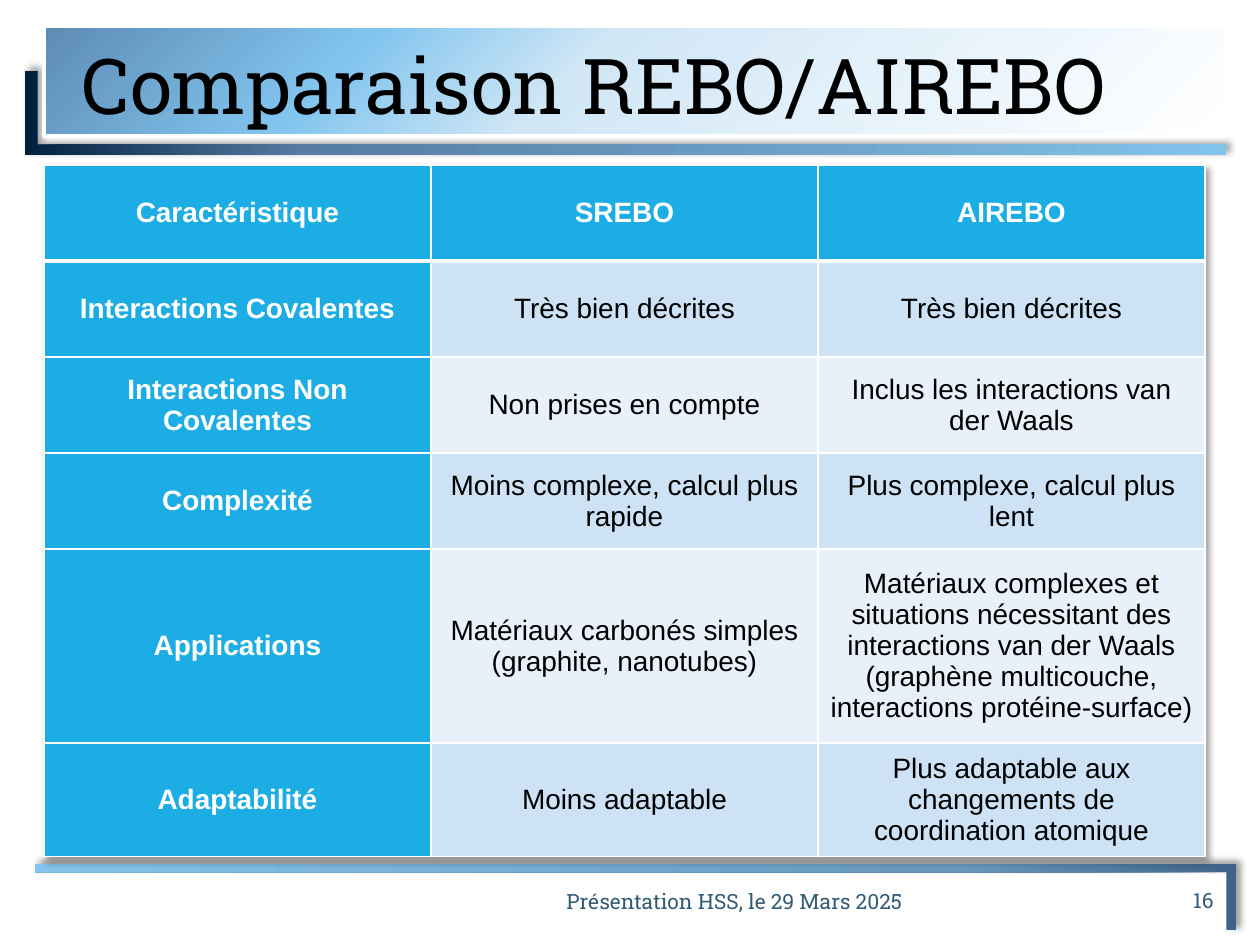
import pptx
import pptx.util
from lxml import etree
from pptx.dml.color import RGBColor
from pptx.enum.shapes import MSO_SHAPE
from pptx.enum.text import MSO_ANCHOR, MSO_AUTO_SIZE, PP_ALIGN
from pptx.oxml.ns import qn

# Content
TITLE = "Comparaison REBO/AIREBO"
FOOTER = "Présentation HSS, le 29 Mars 2025"
PAGE_NUMBER = "16"
ROWS = [
    ("Caractéristique", "SREBO", "AIREBO"),
    ("Interactions Covalentes", "Très bien décrites", "Très bien décrites"),
    ("Interactions Non Covalentes", "Non prises en compte",
     "Inclus les interactions van der Waals"),
    ("Complexité", "Moins complexe, calcul plus rapide",
     "Plus complexe, calcul plus lent"),
    ("Applications", "Matériaux carbonés simples (graphite, nanotubes)",
     "Matériaux complexes et situations nécessitant des interactions van der Waals "
     "(graphène multicouche, interactions protéine-surface)"),
    ("Adaptabilité", "Moins adaptable",
     "Plus adaptable aux changements de coordination atomique"),
]

# Style
WHITE = RGBColor(0xFF, 0xFF, 0xFF)
BLACK = RGBColor(0x00, 0x00, 0x00)
HEADER_BLUE = RGBColor(0x1C, 0xAD, 0xE4)
BANDS = [RGBColor(0xE8, 0xF1, 0xFA), RGBColor(0xCD, 0xE3, 0xF5)]
FOOTER_BLUE = RGBColor(0x33, 0x5B, 0x74)
SKY = RGBColor(0x83, 0xC4, 0xEC)
TOP_STOPS = [(0, RGBColor(0x01, 0x20, 0x3F)), (23, RGBColor(0x56, 0x7C, 0xA3)), (100, SKY)]
BOTTOM_STOPS = [(0, RGBColor(0x3F, 0x63, 0x88)), (23, RGBColor(0x67, 0x98, 0xBF)), (100, SKY)]
TITLE_STOPS = [(0, RGBColor(0x5D, 0x8B, 0xB4)), (26, RGBColor(0x81, 0xC4, 0xEE)),
               (45, RGBColor(0xD1, 0xE7, 0xF6)), (100, WHITE)]
SLAB, SANS = "Roboto Slab", "Arial"
CORNER_ADJUSTMENTS = {"adj1": 12400, "adj2": 14700}

# Layout in px, 126 to the inch
TABLE_LEFT, TABLE_TOP, COLUMN_WIDTH = 44, 165, 387
ROW_HEIGHT, TALL_ROW_HEIGHT, TALL_ROW = 96, 194, 4


def px(length):
    return round(length * 914400 / 126)


def place(*lengths):
    return [px(length) for length in lengths]


def add_color(parent, color):
    return etree.SubElement(parent, qn("a:srgbClr"), val=str(color))


def fill_gradient(shape, stops, angle):
    shape.fill.gradient()
    shape.fill.gradient_angle = angle
    stop_list = shape.element.spPr.find(qn("a:gradFill")).find(qn("a:gsLst"))
    for stop in list(stop_list):
        stop_list.remove(stop)
    for percent, color in stops:
        add_color(etree.SubElement(stop_list, qn("a:gs"), pos=str(percent * 1000)), color)


def add_shadow(effects, degrees):
    shadow = etree.SubElement(
        effects, qn("a:outerShdw"), blurRad=str(pptx.util.Pt(4)),
        dist=str(pptx.util.Pt(3)), dir=str(degrees * 60000), algn="tl", rotWithShape="0")
    etree.SubElement(add_color(shadow, BLACK), qn("a:alpha"), val="40000")


def add_corner(page, box, stops, flipped):
    corner = page.shapes.add_shape(MSO_SHAPE.RECTANGLE, *place(*box))
    # The corner preset has no MSO_SHAPE member
    geometry = corner.element.spPr.find(qn("a:prstGeom"))
    geometry.set("prst", "corner")
    for name, value in CORNER_ADJUSTMENTS.items():
        etree.SubElement(geometry.find(qn("a:avLst")), qn("a:gd"),
                         name=name, fmla=f"val {value}")
    fill_gradient(corner, stops, 0)
    corner.line.fill.background()
    corner.shadow.inherit = False
    add_shadow(corner.element.spPr.find(qn("a:effectLst")), 315)
    if flipped:
        frame = corner.element.spPr.find(qn("a:xfrm"))
        frame.set("flipH", "1")
        frame.set("flipV", "1")


def write(frame, text, font, size, color, align, bold=False):
    frame.word_wrap = True
    frame.text = text
    para = frame.paragraphs[0]
    para.alignment = align
    for span in para.runs:
        span.font.name, span.font.size = font, pptx.util.Pt(size)
        span.font.bold, span.font.color.rgb = bold, color
    return para


def add_footer_text(page, box, text, align):
    label = page.shapes.add_textbox(*place(*box))
    label.text_frame.vertical_anchor = MSO_ANCHOR.MIDDLE
    return write(label.text_frame, text, SLAB, 12, FOOTER_BLUE, align)


def add_borders(cell, bottom_width):
    properties = cell._tc.get_or_add_tcPr()
    for side, width in (("L", 1), ("R", 1), ("T", 1), ("B", bottom_width)):
        border = etree.SubElement(properties, qn(f"a:ln{side}"), w=str(pptx.util.Pt(width)))
        add_color(etree.SubElement(border, qn("a:solidFill")), WHITE)


def add_comparison(page):
    heights = [TALL_ROW_HEIGHT if i == TALL_ROW else ROW_HEIGHT for i in range(len(ROWS))]
    columns = len(ROWS[0])
    table = page.shapes.add_table(len(ROWS), columns, *place(
        TABLE_LEFT, TABLE_TOP, COLUMN_WIDTH * columns, sum(heights))).table
    table.first_col = True
    effects = etree.Element(qn("a:effectLst"))
    add_shadow(effects, 45)
    table._tbl.tblPr.insert(0, effects)
    for column in table.columns:
        column.width = px(COLUMN_WIDTH)
    for i, texts in enumerate(ROWS):
        table.rows[i].height = px(heights[i])
        for j, text in enumerate(texts):
            cell = table.cell(i, j)
            heading = i == 0 or j == 0
            add_borders(cell, 3 if i == 0 else 1)
            cell.fill.solid()
            cell.fill.fore_color.rgb = HEADER_BLUE if heading else BANDS[i % 2]
            cell.vertical_anchor = MSO_ANCHOR.MIDDLE
            write(cell.text_frame, text, SANS, 16, WHITE if heading else BLACK,
                  PP_ALIGN.CENTER, heading)


def main():
    deck = pptx.Presentation()
    deck.slide_width, deck.slide_height = place(1260, 945)
    page = deck.slides.add_slide(deck.slide_layouts[5])

    # Corner bars, behind the title
    title = page.shapes.title
    add_corner(page, (25, 71, 1201, 84), TOP_STOPS, False)
    add_corner(page, (35, 864, 1201, 66), BOTTOM_STOPS, True)
    page.shapes._spTree.append(title.element)

    # Title
    title.left, title.top, title.width, title.height = place(44, 26, 1181, 110)
    fill_gradient(title, TITLE_STOPS, 315)
    title.line.color.rgb = WHITE
    title.line.width = pptx.util.Pt(2)
    title.text_frame.auto_size = MSO_AUTO_SIZE.NONE
    title.text_frame.vertical_anchor = MSO_ANCHOR.BOTTOM
    para = write(title.text_frame, TITLE, SLAB, 44, BLACK, PP_ALIGN.LEFT)
    para._p.get_or_add_pPr().set("marL", str(px(25)))

    # Footer
    para = add_footer_text(page, (362, 876, 745, 50), FOOTER, PP_ALIGN.CENTER)
    para.space_after = pptx.util.Pt(6)
    add_footer_text(page, (1126, 874, 100, 52), PAGE_NUMBER, PP_ALIGN.RIGHT)

    # Comparison table
    add_comparison(page)
    deck.save("out.pptx")


if __name__ == "__main__":
    main()
